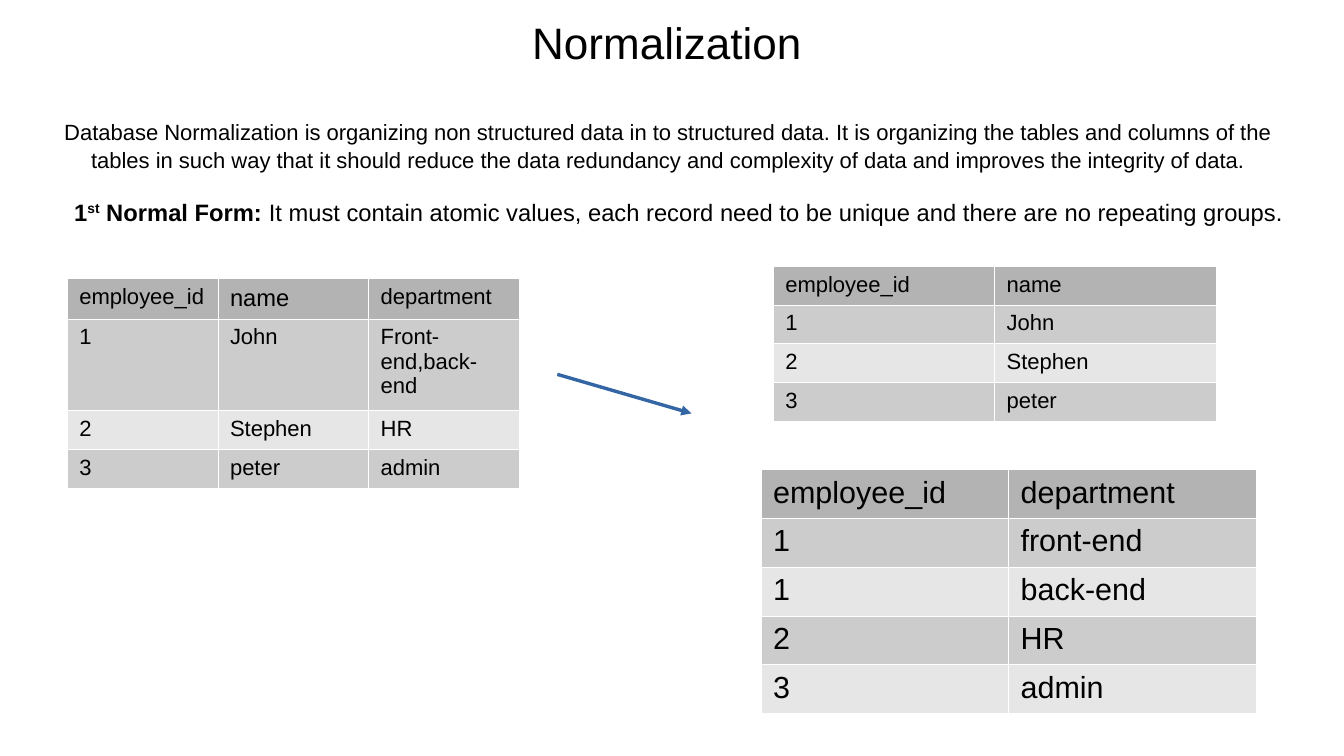
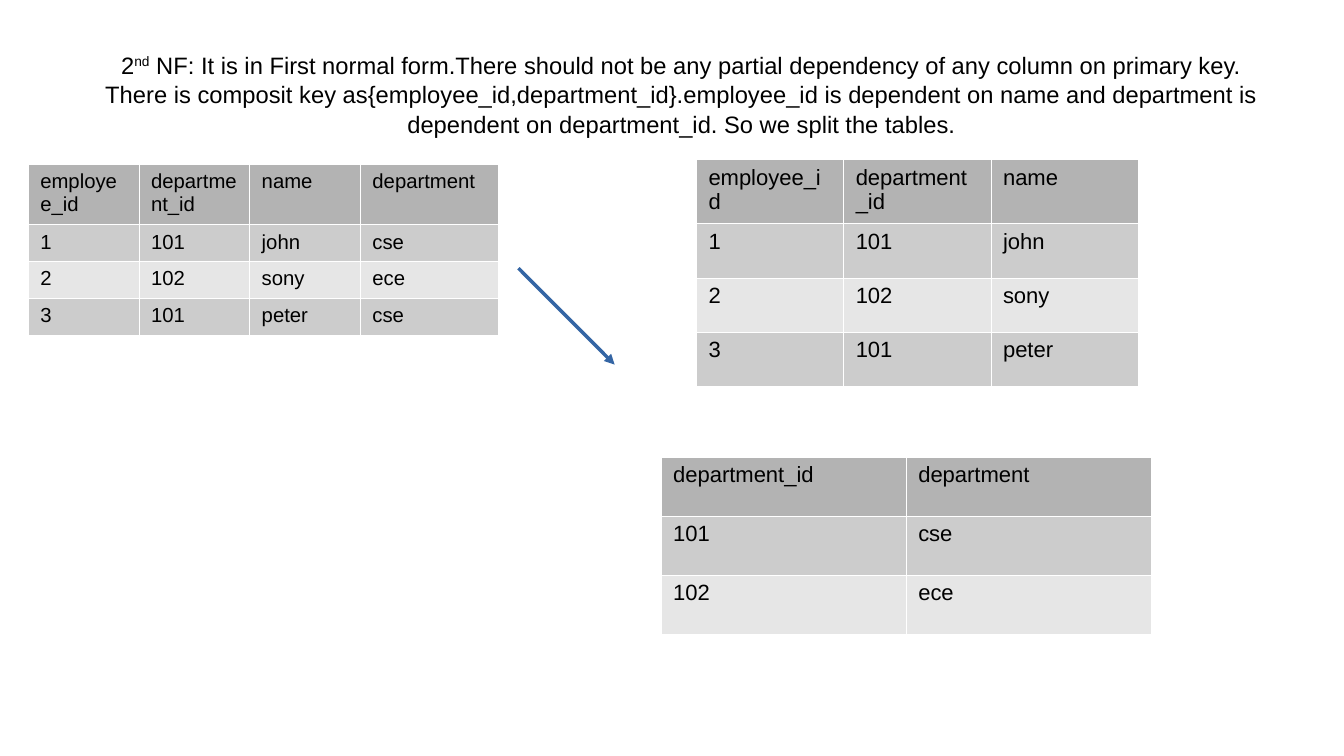
from lxml.etree import SubElement
from pptx import Presentation
from pptx.dml.color import RGBColor
from pptx.enum.shapes import MSO_CONNECTOR as Connector
from pptx.enum.text import MSO_ANCHOR as Anchor, MSO_AUTO_SIZE as AutoSize, PP_ALIGN as Align
from pptx.oxml.ns import qn
from pptx.util import Inches, Pt

WIDTH, HEIGHT = Inches(11.02), Inches(6.2)
FONT = "Arial"
BLACK = RGBColor(0x00, 0x00, 0x00)
WHITE = RGBColor(0xFF, 0xFF, 0xFF)
HEADER = RGBColor(0xB3, 0xB3, 0xB3)
ODD_ROW = RGBColor(0xCC, 0xCC, 0xCC)
EVEN_ROW = RGBColor(0xE6, 0xE6, 0xE6)
ARROW = RGBColor(0x34, 0x65, 0xA4)
FRAME = {"word_wrap": True, "auto_size": AutoSize.NONE}
TITLE_FRAME = FRAME | dict.fromkeys(
    ("margin_left", "margin_top", "margin_right", "margin_bottom"), 0)
PLAIN_TABLE = {"first_row": False, "horz_banding": False}


def across(percent):
    """Return a share of the slide's width."""
    return round(WIDTH * percent / 100)


def down(percent):
    """Return a share of the slide's height."""
    return round(HEIGHT * percent / 100)


def apply(target, values):
    """Set the attributes named in a dict of format values."""
    for name, value in values.items():
        setattr(target, name, value)


def add_span(para, text, size, bold=False, raised=False):
    """Append one formatted run to a paragraph."""
    span = para.add_run()
    span.text = text
    apply(span.font, {"name": FONT, "size": Pt(size), "bold": bold})
    span.font.color.rgb = BLACK
    if raised:
        span.font._element.set("baseline", "33000")


def fill_frame(frame, paragraphs):
    """Write paragraphs, each a format dict with a list of spans."""
    for index, (values, spans) in enumerate(paragraphs):
        para = frame.add_paragraph() if index else frame.paragraphs[0]
        apply(para, values)
        for span in spans:
            add_span(para, **span)


def set_title(page, left, top, width, height, anchor, paragraphs):
    """Place and format the title placeholder."""
    title = page.shapes.title
    apply(title, {"left": across(left), "top": down(top),
                  "width": across(width), "height": down(height)})
    apply(title.text_frame, TITLE_FRAME | {"vertical_anchor": anchor})
    fill_frame(title.text_frame, paragraphs)


def add_text(page, left, top, width, height, paragraphs):
    """Add a wrapping text box."""
    box = page.shapes.add_textbox(across(left), down(top), across(width), down(height))
    apply(box.text_frame, FRAME)
    fill_frame(box.text_frame, paragraphs)


def set_borders(cell):
    """Draw thin white lines on all sides of a cell."""
    properties = cell._tc.get_or_add_tcPr()
    for position, side in enumerate(("lnL", "lnR", "lnT", "lnB")):
        line = SubElement(properties, qn(f"a:{side}"), w=str(Pt(0.06)))
        color = SubElement(SubElement(line, qn("a:solidFill")), qn("a:srgbClr"))
        color.set("val", str(WHITE))
        properties.insert(position, line)


def add_grid(page, left, top, columns, rows, records, size=13, sizes=None):
    """Add a table with a header and alternating row fills."""
    table = page.shapes.add_table(
        len(rows), len(columns), across(left), down(top),
        across(sum(columns)), down(sum(rows))).table
    apply(table, PLAIN_TABLE)
    for column, width in zip(table.columns, columns):
        column.width = across(width)
    for row, height in zip(table.rows, rows):
        row.height = down(height)
    for r, record in enumerate(records):
        for c, text in enumerate(record):
            cell = table.cell(r, c)
            cell.fill.solid()
            cell.fill.fore_color.rgb = (ODD_ROW if r % 2 else EVEN_ROW) if r else HEADER
            set_borders(cell)
            add_span(cell.text_frame.paragraphs[0], text, (sizes or {}).get((r, c), size))


def add_arrow(page, left, top, right, bottom):
    """Add a hairline arrow."""
    arrow = page.shapes.add_connector(
        Connector.STRAIGHT, across(left), down(top), across(right), down(bottom))
    arrow.line.color.rgb = ARROW
    arrow.line.width = 0
    SubElement(arrow.line._get_or_add_ln(), qn("a:tailEnd"), type="triangle")
    SubElement(arrow._element.spPr, qn("a:effectLst"))


def build_first_form(page):
    """Build the slide on the first normal form."""
    centred = {"alignment": Align.CENTER}
    set_title(page, 4.63, 2, 90, 23.4, Anchor.TOP, [
        (centred | {"space_after": Pt(29)}, [{"text": "Normalization", "size": 26}]),
        (centred | {"line_spacing": 1.06}, [{"text": (
            "Database Normalization is organizing non structured data in to structured data. "
            "It is organizing the tables and columns of the tables in such way that it should "
            "reduce the data redundancy and complexity of data and improves the integrity "
            "of data."), "size": 13}])])
    add_text(page, 4.63, 25.4, 94.46, 12.26, [({}, [
        {"text": "1", "size": 14, "bold": True},
        {"text": "st", "size": 14, "bold": True, "raised": True},
        {"text": " Normal Form: ", "size": 14, "bold": True},
        {"text": "It must contain atomic values, each record need to be unique and there "
                 "are no repeating groups.", "size": 14}])])
    add_grid(page, 5, 36.85, [11.21] * 3, [5.3, 12.1, 5.15, 5.15], [
        ("employee_id", "name", "department"),
        ("1", "John", "Front-end,back-end"),
        ("2", "Stephen", "HR"),
        ("3", "peter", "admin")], sizes={(0, 1): 14})
    add_grid(page, 57.53, 35.2, [16.47] * 2, [5.13] * 4, [
        ("employee_id", "name"), ("1", "John"), ("2", "Stephen"), ("3", "peter")])
    add_grid(page, 56.62, 62.1, [18.42] * 2, [6.45] * 5, [
        ("employee_id", "department"), ("1", "front-end"), ("1", "back-end"),
        ("2", "HR"), ("3", "admin")], size=18)
    add_arrow(page, 41.47, 49.52, 51.45, 54.68)


def build_second_form(page):
    """Build the slide on the second normal form."""
    centred = {"alignment": Align.CENTER, "line_spacing": 1.05}
    set_title(page, 5.72, 4, 90, 16.8, Anchor.MIDDLE, [
        (centred, [
            {"text": "2", "size": 14},
            {"text": "nd", "size": 14, "raised": True},
            {"text": " NF: It is in First normal form.There should not be any partial "
                     "dependency of any column on primary key.", "size": 14}]),
        (centred, [{"text": (
            "There is composit key as{employee_id,department_id}.employee_id is dependent "
            "on name and department is dependent on department_id. So we split the tables."),
            "size": 14}])])
    add_grid(page, 2.09, 21.7, [8.24] * 3 + [10.25], [8] + [4.86] * 3, [
        ("employee_id", "department_id", "name", "department"),
        ("1", "101", "john", "cse"),
        ("2", "102", "sony", "ece"),
        ("3", "101", "peter", "cse")], size=12)
    add_grid(page, 51.81, 21.05, [10.96] * 3, [8.5] + [7.18] * 3, [
        ("employee_id", "department_id", "name"),
        ("1", "101", "john"), ("2", "102", "sony"), ("3", "101", "peter")])
    add_grid(page, 49.18, 60.4, [18.24] * 2, [7.82] * 3, [
        ("department_id", "department"), ("101", "cse"), ("102", "ece")])
    add_arrow(page, 38.57, 35.48, 45.74, 48.23)


def main():
    """Build and save the deck."""
    deck = Presentation()
    apply(deck, {"slide_width": WIDTH, "slide_height": HEIGHT})
    for build in (build_first_form, build_second_form):
        build(deck.slides.add_slide(deck.slide_layouts[5]))
    deck.save("out.pptx")


if __name__ == "__main__":
    main()
